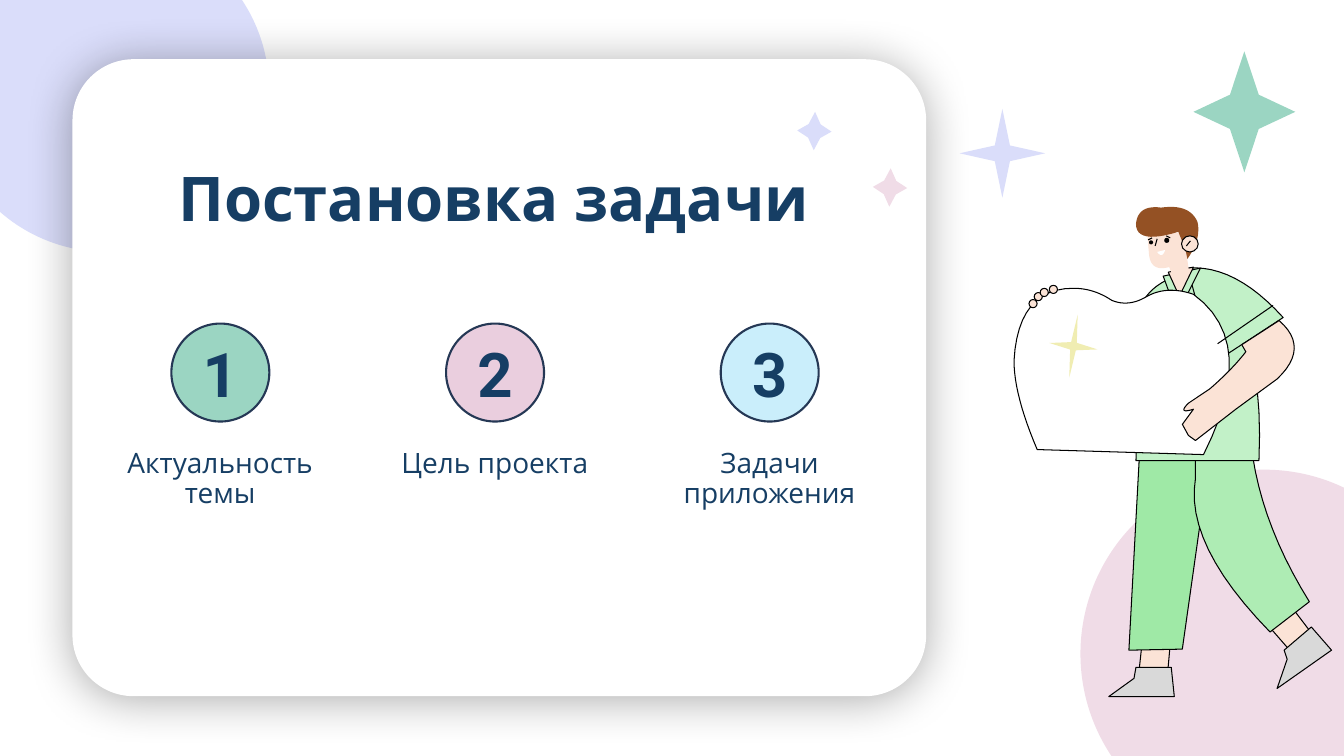
"""Builds a slide with three numbered topics on a card beside a figure holding a board."""
from lxml import etree
from pptx import Presentation
from pptx.dml.color import RGBColor
from pptx.enum.shapes import MSO_CONNECTOR, MSO_SHAPE
from pptx.enum.text import MSO_ANCHOR, PP_ALIGN
from pptx.oxml.ns import qn
from pptx.util import Pt

OVAL, CARD, STAR = MSO_SHAPE.OVAL, MSO_SHAPE.ROUNDED_RECTANGLE, MSO_SHAPE.STAR_4_POINT
STRAIGHT = MSO_CONNECTOR.STRAIGHT
LEFT, CENTER = PP_ALIGN.LEFT, PP_ALIGN.CENTER
TOP, MIDDLE, BOTTOM = MSO_ANCHOR.TOP, MSO_ANCHOR.MIDDLE, MSO_ANCHOR.BOTTOM

WHITE = RGBColor(0xFF, 0xFF, 0xFF)
BLACK = RGBColor(0x00, 0x00, 0x00)
NAVY = RGBColor(0x16, 0x3E, 0x64)
RING = RGBColor(0x25, 0x38, 0x55)
LILAC = RGBColor(0xDA, 0xDD, 0xFA)
PINK = RGBColor(0xF0, 0xDC, 0xE7)
ROSE = RGBColor(0xEA, 0xCE, 0xDE)
TEAL = RGBColor(0x9B, 0xD5, 0xC2)
SKY = RGBColor(0xCA, 0xEE, 0xFB)
YELLOW = RGBColor(0xF0, 0xED, 0xB2)
SKIN = RGBColor(0xFB, 0xE3, 0xD6)
HAIR = RGBColor(0x94, 0x51, 0x24)
SHOE = RGBColor(0xD9, 0xD9, 0xD9)
SHIRT = RGBColor(0xC2, 0xF1, 0xC8)
NEAR_LEG = RGBColor(0xAE, 0xEC, 0xB4)
FAR_LEG = RGBColor(0x9F, 0xE9, 0xA6)
UNIT = 0.72
STEPS = 12


def paint(sp, fill, line=None, width=0.75):
    """Set fill and outline and drop the shadow."""
    sp.shadow.inherit = False
    sp.fill.solid()
    sp.fill.fore_color.rgb = fill
    if line is None:
        sp.line.fill.background()
    else:
        sp.line.color.rgb = line
        sp.line.width = Pt(width)


def write(sp, text, size=20, font="Open Sans", bold=False, align=CENTER, anchor=TOP, spacing=0.9, before=0):
    """Put one formatted paragraph into a shape."""
    tf = sp.text_frame
    tf.word_wrap = True
    tf.vertical_anchor = anchor
    p = tf.paragraphs[0]
    p.alignment, p.line_spacing, p.space_before = align, spacing, Pt(before)
    r = p.add_run()
    r.text = text
    r.font.name, r.font.size, r.font.bold = font, Pt(size), bold
    r.font.color.rgb = NAVY


prs = Presentation()
prs.slide_width, prs.slide_height = Pt(960), Pt(540)
s = prs.slides.add_slide(prs.slide_layouts[6])

for x, y, size, color in [(771.8, 335.5, 263, PINK), (-39.6, -51.8, 231.8, LILAC)]:
    paint(s.shapes.add_shape(OVAL, Pt(x), Pt(y), Pt(size), Pt(size)), color)

card = s.shapes.add_shape(CARD, Pt(51.8), Pt(42.3), Pt(609.8), Pt(455))
card.adjustments[0] = 0.096
paint(card, WHITE)
effects = card._element.spPr.find(qn("a:effectLst"))
shadow = etree.SubElement(effects, qn("a:outerShdw"), blurRad=str(Pt(34)), dist=str(Pt(3)),
                          dir="5640000", algn="t", rotWithShape="0")
color = etree.SubElement(shadow, qn("a:srgbClr"), val="000000")
etree.SubElement(color, qn("a:alpha"), val="32000")

title = s.shapes.add_textbox(Pt(120.2), Pt(67.7), Pt(472.3), Pt(103.7))
write(title, "Постановка задачи", size=44, bold=True, align=LEFT, anchor=BOTTOM)

topics = [("Актуальность темы", TEAL), ("Цель проекта", ROSE), ("Задачи приложения", SKY)]
for i, (topic, color) in enumerate(topics):
    x = 122.4 + 196.2 * i
    sp = s.shapes.add_shape(OVAL, Pt(x), Pt(231.1), Pt(70), Pt(70))
    paint(sp, color, RING, 1.5)
    write(sp, str(i + 1), size=44, font="Roboto", bold=True, anchor=MIDDLE, spacing=1.0)
    sp = s.shapes.add_textbox(Pt(x - 41.8), Pt(317.5), Pt(153.4), Pt(48.2))
    write(sp, topic, before=10)

figure = s.shapes.add_group_shape().shapes
outlines = [
    (SKIN, BLACK, [(1161, 638), (1158, 672), (1129, 675), (1133, 638)]),
    (SHOE, BLACK, [(1127, 662), (1162, 662), (1165, 691), (1100, 691), (1125, 673)]),
    (FAR_LEG, BLACK, [(1132, 423), (1203, 432), (1173, 644), (1120, 645)]),
    (SKIN, BLACK, [(1282, 603), (1304, 632), (1282, 648), (1255, 617)]),
    (SHOE, BLACK, [(1301, 622), (1321, 645), (1267, 683), (1277, 654), (1274, 645)]),
    (NEAR_LEG, BLACK, [(1240, 426), (1245, 510, 1299, 597), (1260, 627),
                       (1175, 540, 1186, 475), (1186, 444)]),
    (SHIRT, BLACK, [(1131, 306), (1140, 280, 1179, 270), (1256, 300, 1249, 457), (1127, 457)]),
    (SHIRT, BLACK, [(1178, 266), (1225, 262, 1273, 315), (1218, 351), (1195, 328)]),
    (SHIRT, BLACK, [(1191, 266), (1168, 312), (1154, 274)]),
    (SKIN, BLACK, [(1184, 265), (1170, 294), (1159, 270)]),
    (WHITE, BLACK, [(1029, 446), (1006, 392, 1006, 358), (1010, 286, 1065, 286),
                    (1085, 286, 1103, 298), (1120, 305, 1138, 294), (1158, 283, 1184, 292),
                    (1250, 340, 1194, 451)]),
    (SKIN, None, [(1138, 230), (1174, 231), (1180, 272), (1164, 276), (1160, 265),
                  (1142, 270, 1140, 253)]),
    (WHITE, None, [(1156, 248), (1153, 257, 1148, 250)]),
    (HAIR, None, [(1176, 247), (1169, 230), (1127, 243, 1127, 222), (1129, 203, 1152, 206),
                  (1180, 202, 1188, 220), (1192, 237, 1178, 257)]),
    (SKIN, BLACK, [(1269, 318), (1300, 345, 1267, 376), (1226, 406), (1186, 437), (1179, 432),
                   (1173, 421), (1184, 406), (1168, 411, 1179, 400), (1200, 386),
                   (1222, 367, 1236, 349), (1232, 342)]),
]
for fill, line, corners in outlines:
    dots = [corners[0]]
    for corner in corners[1:]:
        if len(corner) == 2:
            dots.append(corner)
            continue
        (x0, y0), (x1, y1, x2, y2) = dots[-1], corner
        for step in range(1, STEPS + 1):
            t = step / STEPS
            a, b, c = (1 - t) ** 2, 2 * t * (1 - t), t * t
            dots.append((a * x0 + b * x1 + c * x2, a * y0 + b * y1 + c * y2))
    dots = [(Pt(x * UNIT), Pt(y * UNIT)) for x, y in dots]
    builder = figure.build_freeform(*dots[0], scale=1.0)
    builder.add_line_segments(dots[1:], close=True)
    paint(builder.convert_to_shape(), fill, line)

ear = (844, 168.5, 11.9, 11.5, SKIN)
eyes = [(831.6, 169.9, 3.6, 3.6, BLACK), (820.8, 171.7, 2.9, 2.9, BLACK)]
fingers = [(x, y, 5.8, 5.8, SKIN) for x, y in [(738.7, 209), (735, 214), (743, 206), (749.5, 203.8)]]
for x, y, w, h, color in [ear] + eyes + fingers:
    sp = figure.add_shape(OVAL, Pt(x), Pt(y), Pt(w), Pt(h))
    paint(sp, color, BLACK if color == SKIN else None)

cuff, nose, ear_fold = (1263, 303, 1208, 341), (1148, 237, 1146, 244), (1181, 239, 1177, 244)
brows = [(1157, 234, 1161, 236), (1139, 238, 1143, 236)]
for stroke in [cuff, nose, ear_fold] + brows:
    sp = figure.add_connector(STRAIGHT, *[Pt(v * UNIT) for v in stroke])
    sp.line.color.rgb = BLACK
    sp.line.width = Pt(0.75)
    etree.SubElement(sp._element.spPr, qn("a:effectLst"))

stars = [
    (852.5, 36.7, 72.7, 86.4, 0.2, 0, TEAL),
    (685.4, 77.8, 61.2, 63.4, 0.125, 0, LILAC),
    (749.5, 224.6, 34.6, 45.4, 0.083, 7.6, YELLOW),
    (569.5, 79.9, 24.5, 27.4, 0.25, 2, LILAC),
    (623.5, 120.2, 24.5, 27.4, 0.25, 2, PINK),
]
for x, y, w, h, pinch, turn, color in stars:
    sp = s.shapes.add_shape(STAR, Pt(x), Pt(y), Pt(w), Pt(h))
    sp.adjustments[0] = pinch
    sp.rotation = turn
    paint(sp, color)

prs.save("out.pptx")
